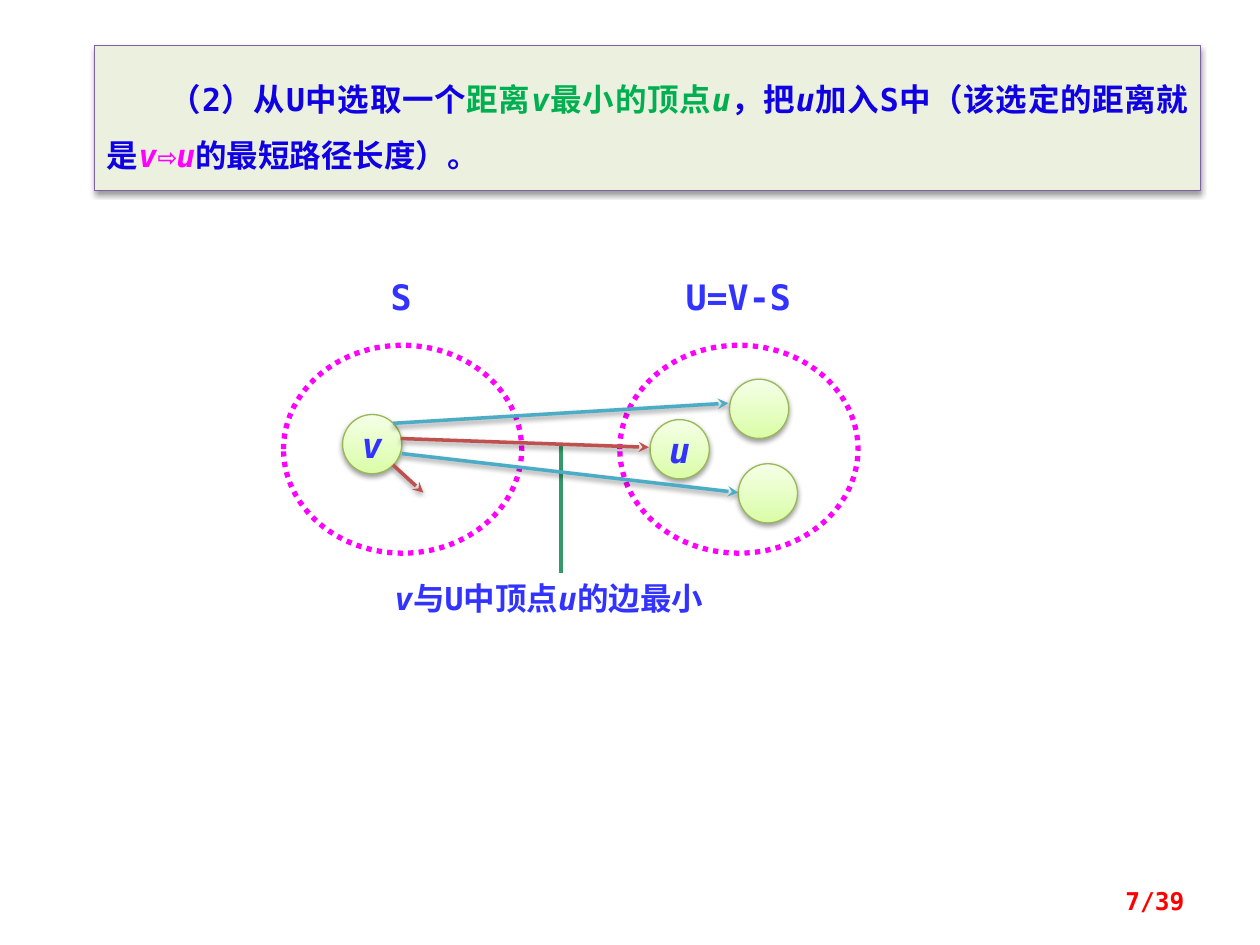
from dataclasses import dataclass

from lxml import etree
from pptx import Presentation
from pptx.dml.color import RGBColor
from pptx.enum.dml import MSO_LINE
from pptx.enum.shapes import MSO_CONNECTOR, MSO_SHAPE
from pptx.enum.text import MSO_ANCHOR, PP_ALIGN
from pptx.oxml import parse_xml
from pptx.oxml.ns import nsdecls, qn
from pptx.util import Pt


@dataclass(frozen=True)
class Theme:
    font: str = "DejaVu Sans Mono"
    body: float = 18
    label: float = 20
    page: float = 14
    ink: str = "1000E4"
    green: str = "00B050"
    magenta: str = "FF00FF"
    blue: str = "3333FF"
    red: str = "FF0000"
    banner: str = "EBF1DE"
    banner_line: str = "7D60A0"
    node_low: str = "DAFDA7"
    node_high: str = "F5FFE7"
    node_line: str = "98B955"
    shortest: str = "C0504D"
    edge: str = "4BACC6"
    stem: str = "339966"


T = Theme()


def rgb(value):
    return RGBColor.from_string(value)


def set_effect(s, shadow):
    sp_pr = s._element.spPr
    for old in sp_pr.findall(qn("a:effectLst")):
        sp_pr.remove(old)
    drop = (
        '<a:outerShdw blurRad="39370" dist="20320" dir="5400000" rotWithShape="0">'
        '<a:srgbClr val="000000"><a:alpha val="38000"/></a:srgbClr></a:outerShdw>'
    )
    sp_pr.append(parse_xml(
        f'<a:effectLst {nsdecls("a")}>{drop if shadow else ""}</a:effectLst>'))


def set_line(s, color, width):
    s.line.color.rgb = rgb(color)
    s.line.width = Pt(width)


def write(s, runs, size, align=PP_ALIGN.LEFT, **frame):
    tf = s.text_frame
    for name, value in {"word_wrap": True, **frame}.items():
        setattr(tf, name, value)
    p = tf.paragraphs[0]
    p.alignment = align
    for text, color, italic in runs:
        r = p.add_run()
        r.text = text
        fmt = {"name": T.font, "size": Pt(size), "bold": True, "italic": italic}
        for name, value in fmt.items():
            setattr(r.font, name, value)
        r.font.color.rgb = rgb(color)
    return p


def add_shape(slide, kind, box):
    return slide.shapes.add_shape(kind, *map(Pt, box))


def add_text(slide, box, runs, size, align=PP_ALIGN.LEFT, **frame):
    s = slide.shapes.add_textbox(*map(Pt, box))
    return write(s, runs, size, align, **frame)


def add_line(slide, start, end, color, width, arrow=True):
    s = slide.shapes.add_connector(MSO_CONNECTOR.STRAIGHT, *map(Pt, (*start, *end)))
    set_line(s, color, width)
    if arrow:
        etree.SubElement(s.line._get_or_add_ln(), qn("a:tailEnd"), type="stealth")
    set_effect(s, arrow)


def add_banner(slide, box):
    s = add_shape(slide, MSO_SHAPE.RECTANGLE, box)
    s.fill.solid()
    s.fill.fore_color.rgb = rgb(T.banner)
    set_line(s, T.banner_line, 0.75)
    set_effect(s, True)
    runs = [
        ("（2）从U中选取一个", T.ink, False),
        ("距离", T.green, False),
        ("v", T.green, True),
        ("最小的顶点", T.green, False),
        ("u", T.green, True),
        ("，把", T.ink, False),
        ("u", T.ink, True),
        ("加入S中（该选定的距离就是", T.ink, False),
        ("v", T.magenta, True),
        ("⇨", T.magenta, False),
        ("u", T.magenta, True),
        ("的最短路径长度）。", T.ink, False),
    ]
    p = write(s, runs, T.body, PP_ALIGN.JUSTIFY, vertical_anchor=MSO_ANCHOR.TOP,
              margin_top=Pt(8.64), margin_bottom=Pt(8.64))
    p.line_spacing = 1.5
    p._p.get_or_add_pPr().set("indent", str(Pt(2 * T.body)))


def add_set(slide, box):
    s = add_shape(slide, MSO_SHAPE.OVAL, box)
    s.fill.background()
    set_line(s, T.magenta, 3)
    s.line.dash_style = MSO_LINE.ROUND_DOT
    set_effect(s, False)


def add_node(slide, box, name):
    s = add_shape(slide, MSO_SHAPE.OVAL, box)
    s.fill.gradient()
    s.fill.gradient_angle = 90
    for stop, color in zip(s.fill.gradient_stops, (T.node_low, T.node_high)):
        stop.color.rgb = rgb(color)
    set_line(s, T.node_line, 0.75)
    set_effect(s, True)
    if name:
        write(s, [(name, T.blue, True)], T.label, PP_ALIGN.CENTER,
              vertical_anchor=MSO_ANCHOR.MIDDLE, word_wrap=False)


def add_diagram(slide, box):
    left, top, width, height = box

    def at(x, y):
        return left + x, top + y

    set_w, set_h, node_d = 136.1, 118.8, 33.84
    for x in (width - set_w, 0):
        add_set(slide, (*at(x, 39.6), set_w, set_h))

    no_margins = dict.fromkeys(
        ("margin_left", "margin_top", "margin_right", "margin_bottom"), 0)
    for text, x, w in (("S", 44.6, 45.4), ("U=V-S", 220.3, 79.2)):
        add_text(slide, (*at(x, 0), w, 24.5), [(text, T.blue, False)],
                 T.label, PP_ALIGN.CENTER, **no_margins)

    nodes = (("v", 33.8, 79.2), ("u", 209.5, 82.1), ("", 259.9, 107.3), ("", 254.9, 59))
    for name, x, y in nodes:
        add_node(slide, (*at(x, y), node_d, node_d), name)

    caption_y = height - 28.8
    add_line(slide, at(158.4, 96.5), at(158.4, caption_y), T.stem, 2.25, arrow=False)
    edges = (
        ((67, 92.9), (208.8, 97.9), T.shortest),
        ((62.6, 108), (79.9, 123.8), T.shortest),
        ((62.6, 84.2), (254.2, 72.7), T.edge),
        ((67.7, 101.5), (259.9, 123.8), T.edge),
    )
    for start, end, color in edges:
        add_line(slide, at(*start), at(*end), color, 2)

    caption = (("v", True), ("与U中顶点", False), ("u", True), ("的边最小", False))
    add_text(slide, (*at(56.2, caption_y), 215.3, 28.8),
             [(text, T.blue, italic) for text, italic in caption], T.body)


def add_page_number(slide, box):
    add_text(slide, box, [("7/39", T.red, False)], T.page, PP_ALIGN.RIGHT,
             vertical_anchor=MSO_ANCHOR.MIDDLE)


def main():
    prs = Presentation()
    prs.slide_width, prs.slide_height = Pt(720), Pt(540)
    slide = prs.slides.add_slide(prs.slide_layouts[6])
    add_banner(slide, (54, 26, 632.2, 82.8))
    add_diagram(slide, (162, 157.7, 328.3, 198.7))
    add_page_number(slide, (516.2, 500.4, 167.8, 28.8))
    prs.save("out.pptx")


if __name__ == "__main__":
    main()
